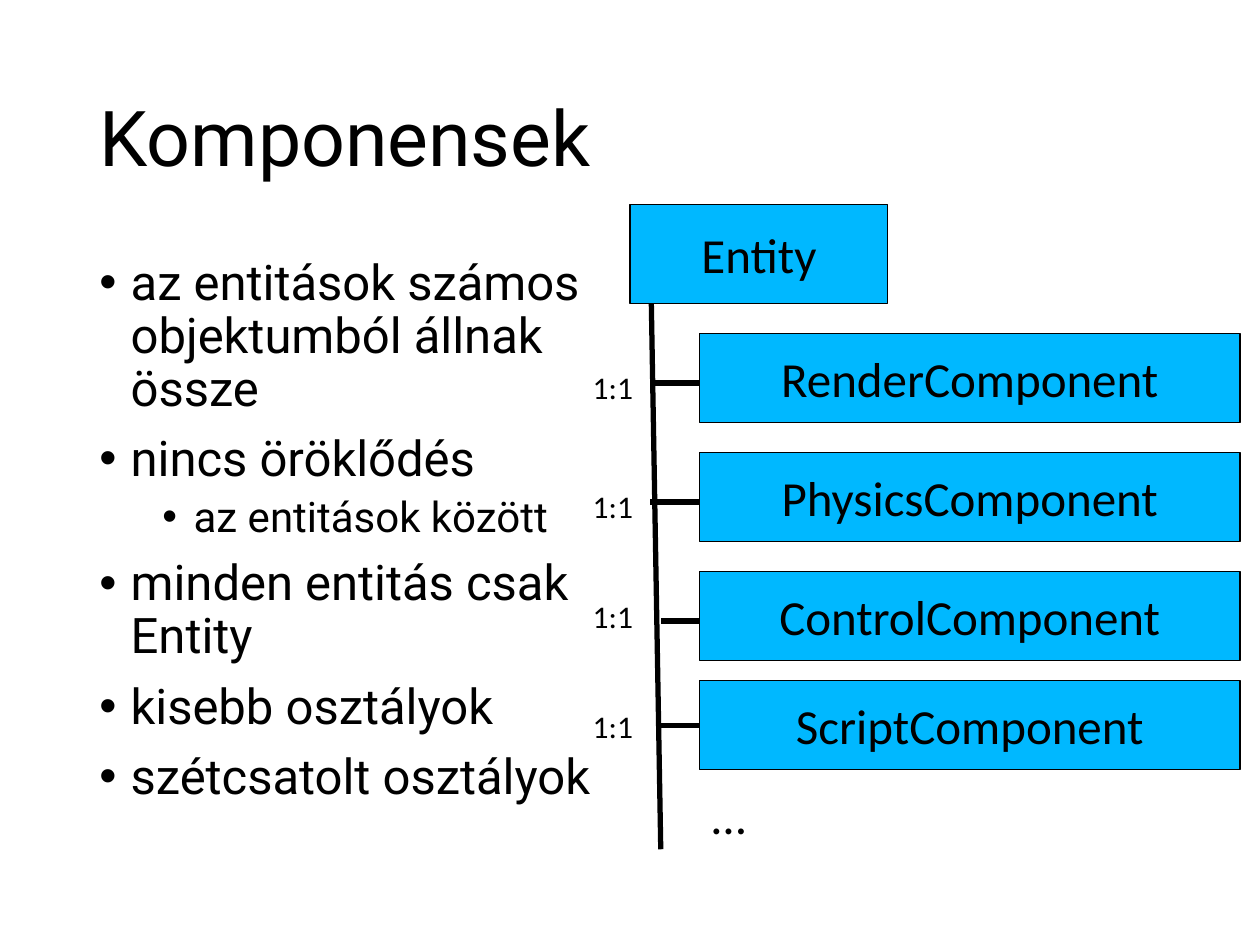
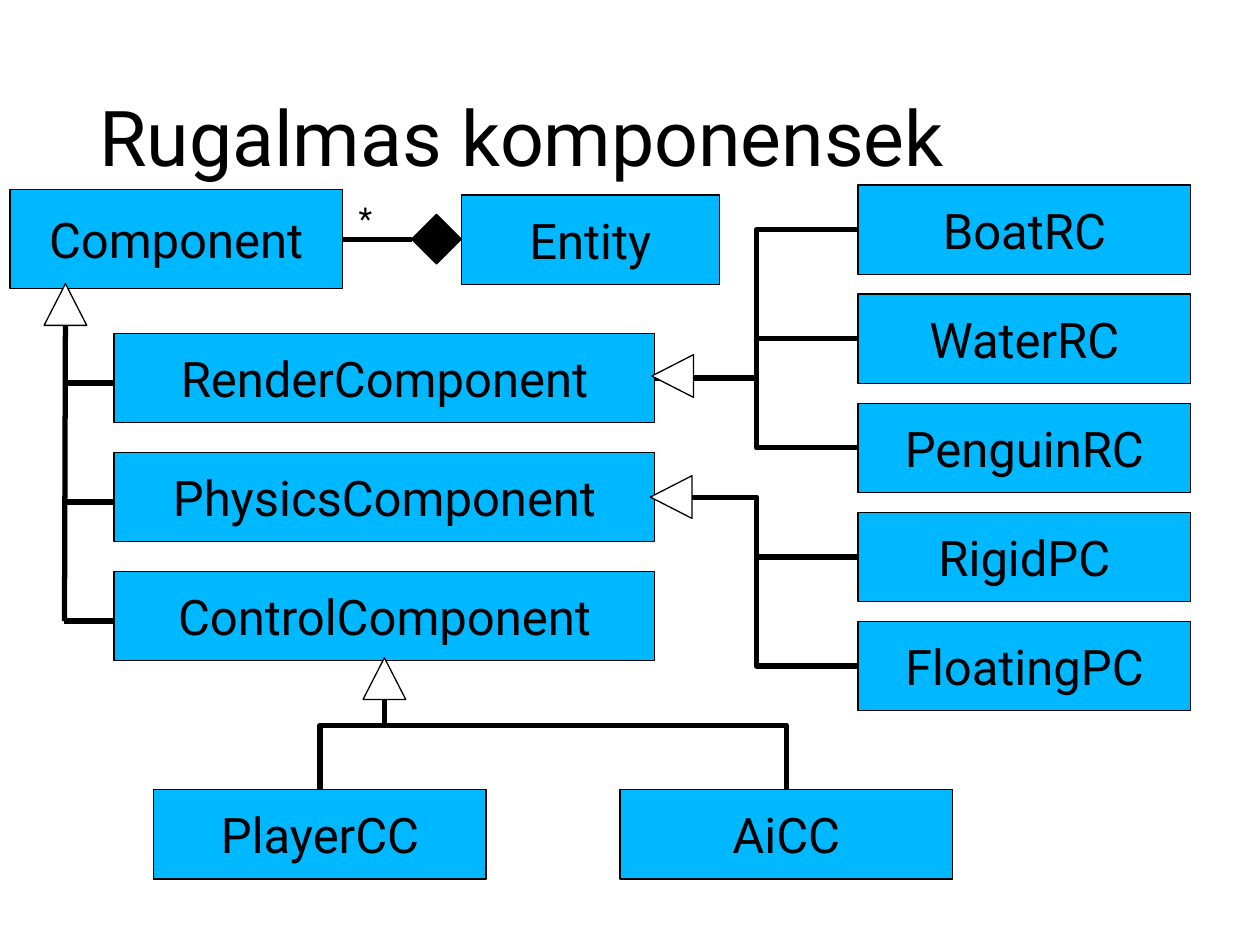
from lxml import etree
from pptx import Presentation, util as u
from pptx.dml.color import RGBColor
from pptx.enum import shapes, text
from pptx.oxml.ns import qn

# Content; all lengths are in centimetres
BLUE, BLACK, WHITE = "00B8FF", "000000", "FFFFFF"
CALIBRI, ROBOTO = "Calibri", "Roboto"
SLIDE_SIZE = (25.4, 19.05)
TITLE_BOX = (1.75, 1.01, 21.9, 3.68)
BODY_BOX = (1.75, 5.07, 10.8, 12.08)
BOX_HEIGHT = 1.8
COMPONENT_WIDTH, CLASS_WIDTH, ENTITY_WIDTH = 10.9, 6.7, 5.2

BULLETS = [
    (0, "az entitások számos objektumból állnak össze"),
    (0, "nincs öröklődés"),
    (1, "az entitások között"),
    (0, "minden entitás csak Entity"),
    (0, "kisebb osztályok"),
    (0, "szétcsatolt osztályok"),
]
# Per level: text size, space before, left margin
LEVELS = [(28, 10, 0.63), (24, 5, 1.9)]

COMPONENTS = [("RenderComponent", 6.72), ("PhysicsComponent", 9.12),
              ("ControlComponent", 11.52), ("ScriptComponent", 13.72)]
# Per component: branch height, trunk end of the branch, label top
BRANCHES = [(7.72, 13.1, 7.29), (10.12, 13.1, 9.7),
            (12.52, 13.32, 11.91), (14.63, 13.32, 14.12)]

# Subclasses in one column, each with the height where it joins its parent
RENDER_JOIN, PHYSICS_JOIN = 7.62, 10.03
SIDE_CLASSES = [("BoatRC", RENDER_JOIN), ("WaterRC", RENDER_JOIN),
                ("PenguinRC", RENDER_JOIN), ("RigidPC", PHYSICS_JOIN),
                ("FloatingPC", PHYSICS_JOIN)]
SIDE_LEFT, SIDE_TOP, SIDE_PITCH = 17.3, 3.73, 2.2
CONTROL_CLASSES = [("PlayerCC", 3.1), ("AiCC", 12.5)]
CONTROL_TOP = 15.92
# Inheritance arrowheads: left, top, rotation
TRIANGLES = [(13.13, 7.16, 270), (13.1, 9.6, 270),
             (7.32, 13.26, 0), (0.89, 5.72, 0)]


def colour(value):
    return RGBColor.from_string(value)


def cm(*values):
    return [u.Cm(value) for value in values]


def set_all(target, values):
    for name, value in values.items():
        setattr(target, name, value)


def style(paragraph, font, size, **values):
    set_all(paragraph, values)
    set_all(paragraph.font, {"name": font, "size": u.Pt(size)})
    paragraph.font.color.rgb = colour(BLACK)


def place(shape, box):
    set_all(shape, dict(zip(("left", "top", "width", "height"), cm(*box))))


def add_titled_slide(presentation, layout, title):
    slide = presentation.slides.add_slide(presentation.slide_layouts[layout])
    shape = slide.shapes.title
    place(shape, TITLE_BOX)
    set_all(shape.text_frame, {"text": title, "auto_size": text.MSO_AUTO_SIZE.NONE,
                               "vertical_anchor": text.MSO_ANCHOR.MIDDLE})
    style(shape.text_frame.paragraphs[0], ROBOTO, 44,
          alignment=text.PP_ALIGN.LEFT, line_spacing=0.9)
    return slide


def add_figure(slide, kind, box, fill, rotation=0):
    shape = slide.shapes.add_shape(kind, *cm(*box))
    shape.shadow.inherit = False
    shape.rotation = rotation
    shape.fill.solid()
    shape.fill.fore_color.rgb = colour(fill)
    shape.line.color.rgb = colour(BLACK)
    shape.line.width = u.Pt(0.75)
    return shape


def add_box(slide, label, left, top, width, font, height=BOX_HEIGHT):
    shape = add_figure(slide, shapes.MSO_SHAPE.RECTANGLE, (left, top, width, height), BLUE)
    set_all(shape.text_frame, {"text": label, "word_wrap": True,
                               "vertical_anchor": text.MSO_ANCHOR.MIDDLE})
    style(shape.text_frame.paragraphs[0], font, 28, alignment=text.PP_ALIGN.CENTER)


def add_line(slide, x1, y1, x2, y2, kind=shapes.MSO_CONNECTOR.STRAIGHT):
    line = slide.shapes.add_connector(kind, *cm(x1, y1, x2, y2))
    line.line.color.rgb = colour(BLACK)
    line.line.width = u.Pt(3)
    etree.SubElement(line._element.spPr, qn("a:effectLst"))
    return line


def add_rising_elbow(slide, x1, y1, x2, y2):
    """Elbow that leaves upwards: a sideways elbow turned about its centre."""
    centre_x, centre_y = (x1 + x2) / 2, (y1 + y2) / 2
    half_rise, half_run = (y1 - y2) / 2, (x2 - x1) / 2
    line = add_line(slide, centre_x - half_rise, centre_y - half_run,
                    centre_x + half_rise, centre_y + half_run, shapes.MSO_CONNECTOR.ELBOW)
    line._element.spPr.find(qn("a:xfrm")).set("rot", str(270 * 60000))


def add_label(slide, label, box, font, size):
    frame = slide.shapes.add_textbox(*cm(*box)).text_frame
    set_all(frame, {"text": label, "word_wrap": False,
                    "auto_size": text.MSO_AUTO_SIZE.SHAPE_TO_FIT_TEXT})
    style(frame.paragraphs[0], font, size)


def fill_bullets(shape):
    place(shape, BODY_BOX)
    frame = shape.text_frame
    frame.text = "\n".join(label for _, label in BULLETS)
    frame.auto_size = text.MSO_AUTO_SIZE.NONE
    for paragraph, (level, _) in zip(frame.paragraphs, BULLETS):
        size, before, margin = LEVELS[level]
        style(paragraph, ROBOTO, size, level=level, line_spacing=0.9,
              space_before=u.Pt(before))
        properties = paragraph._p.get_or_add_pPr()
        properties.set("marL", str(u.Cm(margin)))
        properties.set("indent", str(u.Cm(-0.63)))
        # Bullet elements stand between spacing and default run properties
        run_defaults = properties.find(qn("a:defRPr"))
        for tag, name, value in (("a:buFont", "typeface", "Arial"),
                                 ("a:buChar", "char", "•")):
            element = etree.Element(qn(tag), {name: value})
            if run_defaults is None:
                properties.append(element)
            else:
                run_defaults.addprevious(element)


def build_components(presentation):
    slide = add_titled_slide(presentation, 1, "Komponensek")
    fill_bullets(slide.placeholders[1])
    left = 14.1
    add_box(slide, "Entity", 12.7, 4.12, ENTITY_WIDTH, CALIBRI, height=2)
    add_line(slide, 13.13, 6.12, 13.32, 17.12)
    for (name, top), (branch, trunk, label_top) in zip(COMPONENTS, BRANCHES):
        add_box(slide, name, left, top, COMPONENT_WIDTH, CALIBRI)
        add_line(slide, left, branch, trunk, branch)
        add_label(slide, "1:1", (11.7, label_top, 1.63, 1.02), CALIBRI, 18)
    add_label(slide, "…", (left, 15.72, 1.32, 1.45), CALIBRI, 28)


def build_flexible_components(presentation):
    slide = add_titled_slide(presentation, 5, "Rugalmas komponensek")
    left, trunk = 2.3, 1.3
    right = left + COMPONENT_WIDTH

    # Base class and its components
    add_box(slide, "Component", 0.2, 3.82, CLASS_WIDTH, ROBOTO, height=2)
    add_box(slide, "Entity", 9.3, 3.93, ENTITY_WIDTH, ROBOTO)
    add_line(slide, 1.32, 6.12, trunk, 12.52)
    for (name, top), (branch, _, _) in zip(COMPONENTS[:3], BRANCHES):
        add_box(slide, name, left, top, COMPONENT_WIDTH, ROBOTO)
        add_line(slide, left, branch, trunk, branch)

    # Subclasses
    for row, (name, join) in enumerate(SIDE_CLASSES):
        top = SIDE_TOP + row * SIDE_PITCH
        add_box(slide, name, SIDE_LEFT, top, CLASS_WIDTH, ROBOTO)
        add_line(slide, SIDE_LEFT, top + BOX_HEIGHT / 2, right, join,
                 shapes.MSO_CONNECTOR.ELBOW)
    for name, class_left in CONTROL_CLASSES:
        add_box(slide, name, class_left, CONTROL_TOP, CLASS_WIDTH, ROBOTO)
        add_rising_elbow(slide, class_left + CLASS_WIDTH / 2, CONTROL_TOP,
                         left + COMPONENT_WIDTH / 2, COMPONENTS[2][1] + BOX_HEIGHT)

    # Arrowheads and the aggregation
    for x, y, rotation in TRIANGLES:
        add_figure(slide, shapes.MSO_SHAPE.ISOSCELES_TRIANGLE, (x, y, 0.86, 0.84),
                   WHITE, rotation)
    add_line(slide, 8.3, 4.83, 6.9, 4.83)
    add_figure(slide, shapes.MSO_SHAPE.DIAMOND, (8.3, 4.32, 1, 1), BLACK)
    add_label(slide, "*", (6.98, 3.89, 0.89, 1.02), ROBOTO, 18)


def main():
    presentation = Presentation()
    presentation.slide_width, presentation.slide_height = cm(*SLIDE_SIZE)
    build_components(presentation)
    build_flexible_components(presentation)
    presentation.save("out.pptx")


if __name__ == "__main__":
    main()
